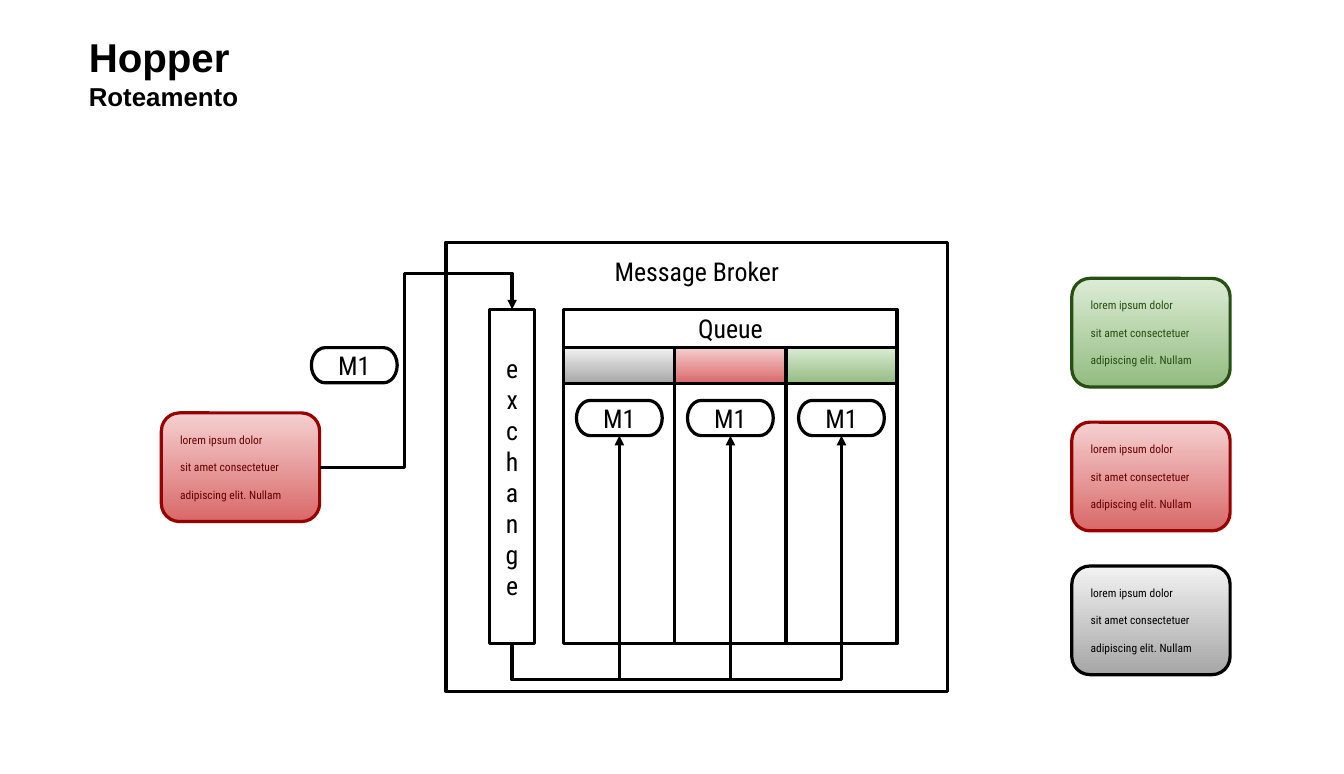
from collections import namedtuple

from lxml import etree
from pptx import Presentation
from pptx.dml.color import RGBColor
from pptx.enum.shapes import MSO_CONNECTOR, MSO_SHAPE
from pptx.enum.text import MSO_ANCHOR, MSO_AUTO_SIZE, PP_ALIGN
from pptx.oxml.ns import qn
from pptx.util import Inches, Pt

RECT = MSO_SHAPE.RECTANGLE
ROUNDED = MSO_SHAPE.ROUNDED_RECTANGLE
PILL = MSO_SHAPE.FLOWCHART_TERMINATOR
ELBOW = MSO_CONNECTOR.ELBOW
TOP, MIDDLE = MSO_ANCHOR.TOP, MSO_ANCHOR.MIDDLE
LEFT, CENTER = PP_ALIGN.LEFT, PP_ALIGN.CENTER
GROW = MSO_AUTO_SIZE.SHAPE_TO_FIT_TEXT

CELL = 0.1
COLUMNS, ROWS = 129.9, 74.8
COLORS = {"ink": "000000"}
THEMES = {
    "gray": {"start": "F2F2F2", "end": "A6A6A6", "line": "000000", "text": "000000"},
    "red": {"start": "F5D0D0", "end": "D96868", "line": "980000", "text": "660000"},
    "green": {"start": "DCECD5", "end": "93BC81", "line": "274E13", "text": "274E13"},
}
LANES = ["gray", "red", "green"]
CLIENT_LINES = ["lorem ipsum dolor", "sit amet consectetuer", "adipiscing elit. Nullam"]
CLIENT_SIZE = (15.3, 10.5)
PILL_SIZE = (8.3, 3.4)
INSETS = {"margin_left": 1.3, "margin_right": 1.3, "margin_top": 1.3, "margin_bottom": 1.3}
DETOUR = 3.5

Box = namedtuple("Box", "left top width height")


def grid(cells):
    return Inches(cells * CELL)


def inside(box, left, top, width, height):
    return Box(box.left + left, box.top + top, width, height)


def apply(target, values):
    for name, value in values.items():
        setattr(target, name, value)


def write(frame, lines, font, color, paragraph_format):
    for index, line in enumerate(lines):
        paragraph = frame.paragraphs[0] if index == 0 else frame.add_paragraph()
        if index:
            apply(paragraph, paragraph_format)
        else:
            paragraph.alignment = paragraph_format["alignment"]
        run = paragraph.add_run()
        run.text = line
        apply(run.font, font)
        run.font.color.rgb = RGBColor.from_string(color)


def block(slide, kind, box, theme=None, line=COLORS["ink"]):
    shape = slide.shapes.add_shape(kind, *map(grid, box))
    shape.shadow.inherit = False
    if theme:
        shape.fill.gradient()
        shape.fill.gradient_angle = 270
        for stop, name in zip(shape.fill.gradient_stops, ("start", "end")):
            stop.color.rgb = RGBColor.from_string(theme[name])
    else:
        shape.fill.background()
    shape.line.color.rgb = RGBColor.from_string(line)
    shape.line.width = Pt(2.25)
    return shape


def label(shape, lines, size=18, color=COLORS["ink"], anchor=MIDDLE, align=CENTER, gap=0):
    frame = shape.text_frame
    apply(frame, {name: grid(inset) for name, inset in INSETS.items()})
    apply(frame, {"word_wrap": True, "vertical_anchor": anchor})
    font = {"name": "Roboto Condensed", "size": Pt(size)}
    write(frame, lines, font, color, {"alignment": align, "space_before": Pt(gap)})


def message(slide, left, top):
    label(block(slide, PILL, Box(left, top, *PILL_SIZE)), ["M1"])


def client(slide, left, top, theme):
    shape = block(slide, ROUNDED, Box(left, top, *CLIENT_SIZE), theme, theme["line"])
    label(shape, CLIENT_LINES, 8, theme["text"], align=LEFT, gap=9.5)


def arrow(slide, begin, end, preset, rotation, adjustments):
    connector = slide.shapes.add_connector(ELBOW, *map(grid, begin + end))
    connector.line.color.rgb = RGBColor.from_string(COLORS["ink"])
    connector.line.width = Pt(2.25)
    properties = connector._element.spPr
    properties.find(qn("a:xfrm")).set("rot", str(rotation * 60000))
    geometry = properties.find(qn("a:prstGeom"))
    geometry.set("prst", preset)
    guides = geometry.find(qn("a:avLst"))
    if guides is None:
        guides = etree.SubElement(geometry, qn("a:avLst"))
    for number, share in enumerate(adjustments, 1):
        guide = etree.SubElement(guides, qn("a:gd"))
        guide.set("name", f"adj{number}")
        guide.set("fmla", f"val {round(share * 100000)}")
    head = etree.SubElement(properties.find(qn("a:ln")), qn("a:tailEnd"))
    head.set("type", "triangle")
    etree.SubElement(properties, qn("a:effectLst"))


def route_up(slide, start, target):
    run, rise = target[0] - start[0], start[1] - target[1]
    center_x, center_y = (start[0] + target[0]) / 2, (start[1] + target[1]) / 2
    begin = (center_x - rise / 2, center_y - run / 2)
    end = (center_x + rise / 2, center_y + run / 2)
    arrow(slide, begin, end, "bentConnector3", 270, [-DETOUR / rise])


def route_over(slide, start, target):
    rise = start[1] - target[1]
    begin, end = (target[0], target[1]), (start[0], start[1])
    arrow(slide, begin, end, "bentConnector4", 180, [0.44, 1 + DETOUR / rise])


def queue(slide, box, exchange_exit):
    lane_width = box.width / len(LANES)
    header, band = 3.65, 3.5
    label(block(slide, RECT, Box(box.left, box.top, box.width, header)), ["Queue"])
    for index, name in enumerate(LANES):
        left = index * lane_width
        block(slide, RECT, inside(box, left, header, lane_width, box.height - header))
        block(slide, RECT, inside(box, left, header, lane_width, band), THEMES[name])
        center, top = box.left + left + lane_width / 2, box.top + 8.8
        message(slide, center - PILL_SIZE[0] / 2, top)
        route_up(slide, exchange_exit, (center, top + PILL_SIZE[1]))


def broker(slide, box):
    label(block(slide, RECT, box), ["Message Broker"], anchor=TOP)
    exchange = inside(box, 4.2, 6.5, 4.4, 32.3)
    label(block(slide, RECT, exchange), ["exchange"])
    center = exchange.left + exchange.width / 2
    queue(slide, inside(box, 11.4, 6.5, 32.2, 32.3), (center, exchange.top + exchange.height))
    return center, exchange.top


def producer(slide, left, top, exchange_entry):
    client(slide, left, top, THEMES["red"])
    message(slide, left + 14.5, top - 6.3)
    width, height = CLIENT_SIZE
    route_over(slide, (left + width, top + height / 2), exchange_entry)


def consumers(slide, left, top, pitch):
    for index, name in enumerate(reversed(LANES)):
        client(slide, left, top + index * pitch, THEMES[name])


def title(slide, box):
    frame = slide.shapes.add_textbox(*map(grid, box)).text_frame
    apply(frame, {"word_wrap": True, "auto_size": GROW})
    for index, (text, size) in enumerate([("Hopper", 28), ("Roteamento", 18)]):
        paragraph = frame.add_paragraph() if index else frame.paragraphs[0]
        run = paragraph.add_run()
        run.text = text
        apply(run.font, {"name": "Arial", "size": Pt(size), "bold": True})
        run.font.color.rgb = RGBColor.from_string(COLORS["ink"])


def main():
    deck = Presentation()
    apply(deck, {"slide_width": grid(COLUMNS), "slide_height": grid(ROWS)})
    slide = deck.slides.add_slide(deck.slide_layouts[6])
    exchange_entry = broker(slide, Box(43.1, 23.4, 48.5, 43.4))
    producer(slide, 15.6, 39.9, exchange_entry)
    consumers(slide, 103.6, 26.9, 13.9)
    title(slide, Box(7.6, 2.6, 121.8, 8.8))
    deck.save("out.pptx")


if __name__ == "__main__":
    main()
